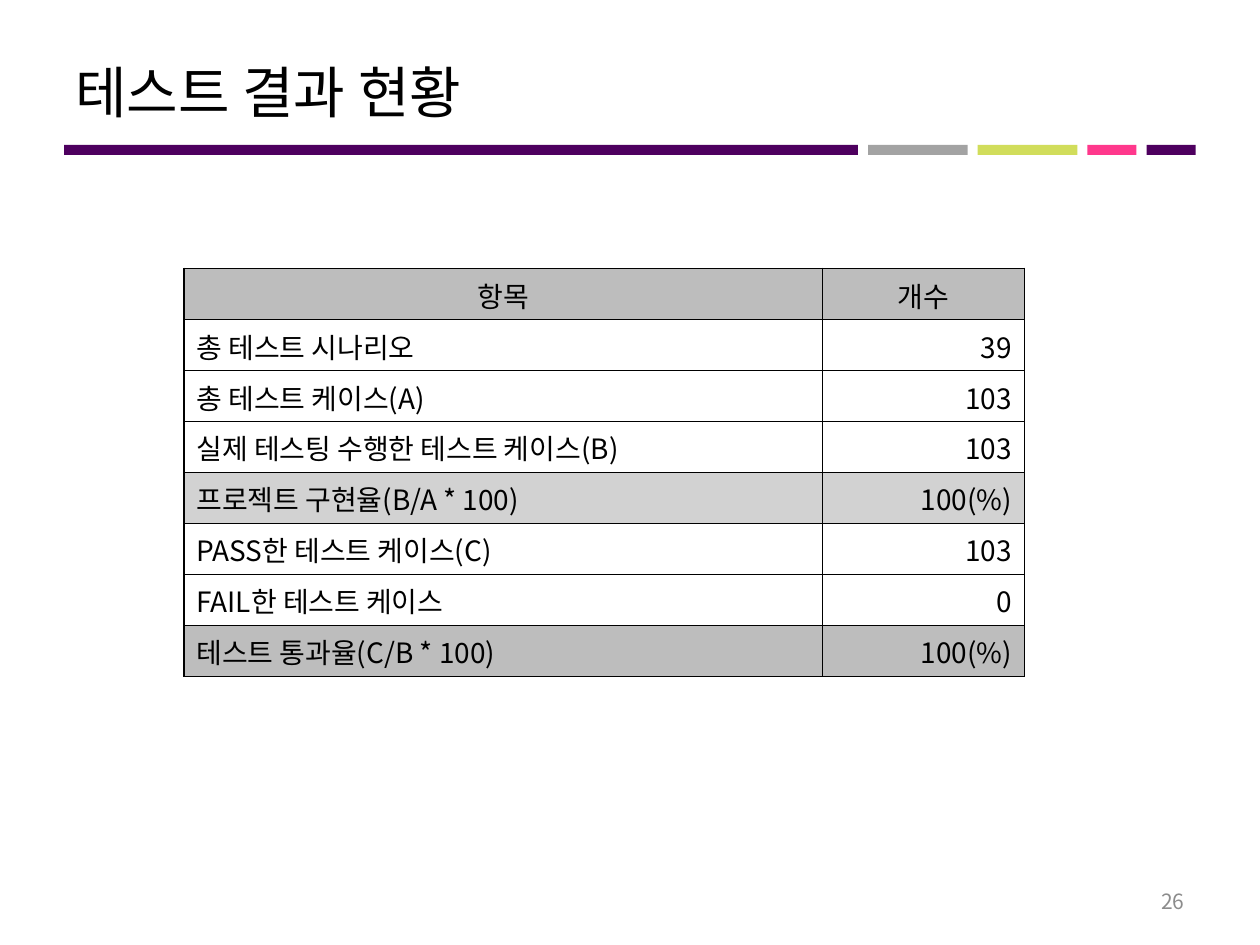
from dataclasses import dataclass

from lxml import etree
from pptx import Presentation
from pptx.dml.color import RGBColor
from pptx.enum.shapes import MSO_SHAPE
from pptx.enum.text import MSO_ANCHOR, PP_ALIGN
from pptx.oxml.ns import qn
from pptx.util import Inches, Pt

RECTANGLE = MSO_SHAPE.RECTANGLE
MIDDLE = MSO_ANCHOR.MIDDLE
LEFT, CENTER, RIGHT = PP_ALIGN.LEFT, PP_ALIGN.CENTER, PP_ALIGN.RIGHT


@dataclass(frozen=True)
class Theme:
    font: str = "Noto Sans CJK KR"
    text: str = "000000"
    muted: str = "8C8C8C"
    purple: str = "4E005F"
    gray: str = "A3A3A3"
    lime: str = "D1DD5B"
    pink: str = "FF388C"
    header_fill: str = "BDBDBD"
    rate_fill: str = "D2D2D2"
    title_size: int = 32
    table_size: int = 16
    number_size: int = 12
    border_width: int = 1


THEME = Theme()

BAR_GAP = 0.08
BAR_SEGMENTS = [
    (6.3, THEME.purple),
    (0.79, THEME.gray),
    (0.79, THEME.lime),
    (0.39, THEME.pink),
    (0.39, THEME.purple),
]

COLUMN_WIDTHS = [5.07, 1.6]
RESULT_ROWS = [
    ("항목", "개수", THEME.header_fill),
    ("총 테스트 시나리오", "39", None),
    ("총 테스트 케이스(A)", "103", None),
    ("실제 테스팅 수행한 테스트 케이스(B)", "103", None),
    ("프로젝트 구현율(B/A * 100)", "100(%)", THEME.rate_fill),
    ("PASS한 테스트 케이스(C)", "103", None),
    ("FAIL한 테스트 케이스", "0", None),
    ("테스트 통과율(C/B * 100)", "100(%)", THEME.header_fill),
]


def write_text(text_frame, text, size, color, alignment):
    paragraph = text_frame.paragraphs[0]
    paragraph.alignment = alignment
    run = paragraph.add_run()
    run.text = text
    run.font.size = Pt(size)
    run.font.color.rgb = RGBColor.from_string(color)
    run.font.name = THEME.font
    east_asian = etree.SubElement(run.font._element, qn("a:ea"))
    east_asian.set("typeface", THEME.font)


def add_label(slide, left, top, width, height, text, size, color, alignment):
    box = slide.shapes.add_textbox(
        Inches(left), Inches(top), Inches(width), Inches(height))
    box.text_frame.word_wrap = True
    box.text_frame.vertical_anchor = MIDDLE
    write_text(box.text_frame, text, size, color, alignment)


def add_color_bar(slide, left, top, height):
    for width, color in BAR_SEGMENTS:
        shape = slide.shapes.add_shape(
            RECTANGLE, Inches(left), Inches(top), Inches(width), Inches(height))
        shape.shadow.inherit = False
        shape.fill.solid()
        shape.fill.fore_color.rgb = RGBColor.from_string(color)
        shape.line.fill.background()
        left += width + BAR_GAP


def set_borders(cell):
    """Draws all four edges; must run before the cell fill is set."""
    properties = cell._tc.get_or_add_tcPr()
    for edge in ("a:lnL", "a:lnR", "a:lnT", "a:lnB"):
        line = etree.SubElement(
            properties, qn(edge), w=str(Pt(THEME.border_width)))
        fill = etree.SubElement(line, qn("a:solidFill"))
        etree.SubElement(fill, qn("a:srgbClr"), val=THEME.text)


def add_result_table(slide, left, top, width, height):
    table = slide.shapes.add_table(
        len(RESULT_ROWS), len(COLUMN_WIDTHS),
        Inches(left), Inches(top), Inches(width), Inches(height)).table
    table.first_row = False
    table.horz_banding = False
    for column, column_width in zip(table.columns, COLUMN_WIDTHS):
        column.width = Inches(column_width)
    for row_index, (item, count, color) in enumerate(RESULT_ROWS):
        alignments = (CENTER, CENTER) if row_index == 0 else (LEFT, RIGHT)
        for column_index, text in enumerate((item, count)):
            cell = table.cell(row_index, column_index)
            set_borders(cell)
            if color:
                cell.fill.solid()
                cell.fill.fore_color.rgb = RGBColor.from_string(color)
            else:
                cell.fill.background()
            write_text(cell.text_frame, text, THEME.table_size, THEME.text,
                       alignments[column_index])


def main():
    presentation = Presentation()
    presentation.slide_width = Inches(10)
    presentation.slide_height = Inches(7.5)
    slide = presentation.slides.add_slide(presentation.slide_layouts[6])
    add_color_bar(slide, 0.51, 1.15, 0.08)
    add_label(slide, 0.5, 0.3, 9, 0.85, "테스트 결과 현황",
              THEME.title_size, THEME.text, LEFT)
    add_label(slide, 7.17, 6.95, 2.33, 0.4, "26",
              THEME.number_size, THEME.muted, RIGHT)
    add_result_table(slide, 1.46, 2.13, 6.67, 3.24)
    presentation.save("out.pptx")


if __name__ == "__main__":
    main()
